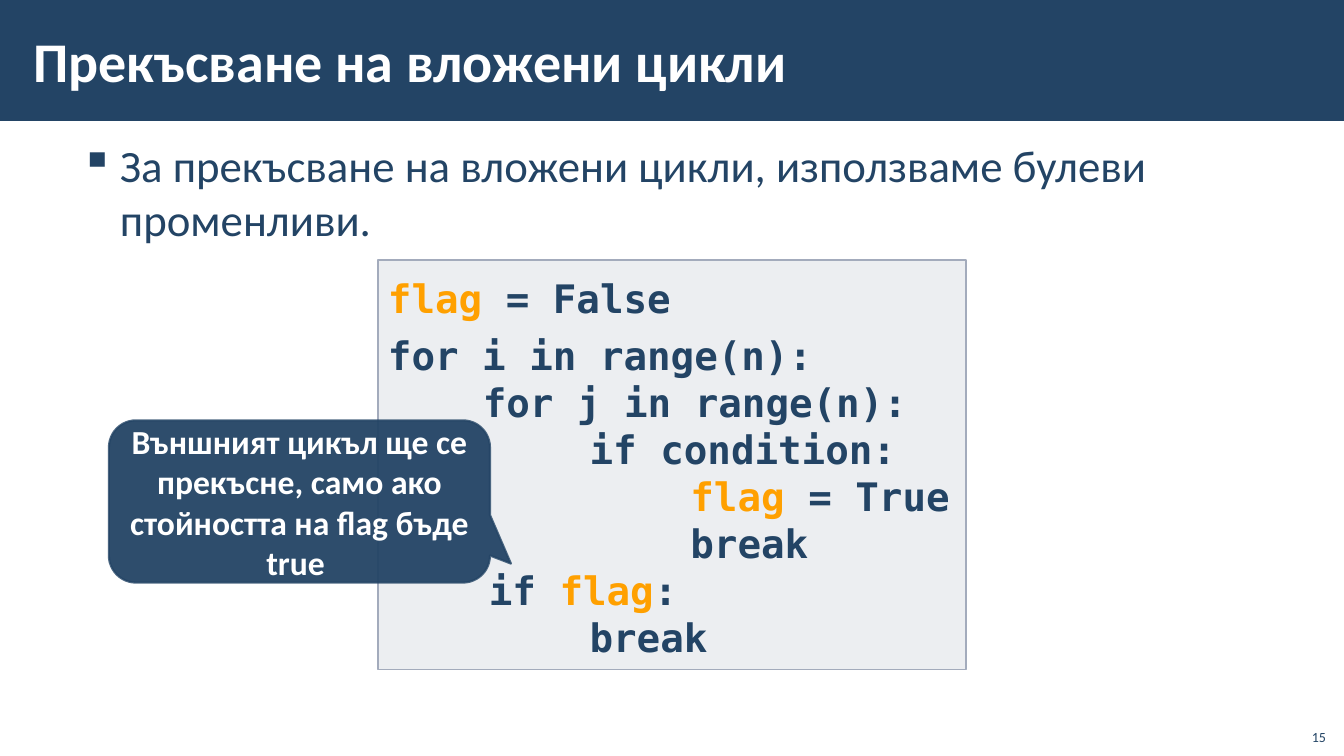
from dataclasses import dataclass

from lxml import etree
from pptx import Presentation
from pptx.dml.color import RGBColor
from pptx.enum.shapes import MSO_SHAPE
from pptx.enum.text import MSO_ANCHOR, MSO_AUTO_SIZE, PP_ALIGN
from pptx.oxml.ns import qn
from pptx.util import Pt

TITLE = "Прекъсване на вложени цикли"
BODY = ("За прекъсване на вложени цикли, използваме булеви ", "променливи.")
CALLOUT = "Външният цикъл ще се прекъсне, само ако стойността на flag бъде true "
PAGE_NUMBER = "15"
VARIABLE = "flag"
# indent in px, line spacing, text pieces
CODE = [
    (0, 1.2, [VARIABLE, " = False"]),
    (0, 1.2, ["for i in range(n):"]),
    (94, 1.0, ["for j in range(n):"]),
    (200, 1.0, ["if condition:"]),
    (300, 1.0, [VARIABLE, " = True"]),
    (300, 1.0, ["break"]),
    (100, 1.0, ["if ", VARIABLE, ":"]),
    (200, 1.0, ["break"]),
]

# left, top, width, height in px, 100 px to the inch
SLIDE_SIZE = (1333, 750)
BAND_BOX = (0, 0, 1334, 120)
BODY_BOX = (68, 133, 1198, 124)
TITLE_BOX = (21, 11, 1063, 97)
CODE_BOX = (375, 258, 583, 406)
CALLOUT_BOX = (108, 417, 378, 161)
NUMBER_BOX = (1285, 712, 40, 32)
BULLET_INDENT = 39
PLAIN_INSETS = (10, 5)
PLACEHOLDER_INSETS = (12, 4)
CALLOUT_POINT = (0.555, 0.383, 0.167)


@dataclass(frozen=True)
class Theme:
    navy: str = "234465"
    white: str = "FFFFFF"
    orange: str = "FFA000"
    grey: str = "A3ABBC"
    font: str = "Calibri"
    code_font: str = "DejaVu Sans Mono"
    title_size: int = 40
    body_size: int = 32
    code_size: int = 28
    callout_size: int = 24
    number_size: int = 10


THEME = Theme()


def px(length):
    return length * 9144


def set_color(color_format, color, opacity=100):
    color_format.rgb = RGBColor.from_string(color)
    if opacity < 100:
        element = color_format._xFill.find(qn("a:srgbClr"))
        etree.SubElement(element, qn("a:alpha"), val=str(opacity * 1000))


def add_box(slide, preset, box, fill, opacity=100, line_width=0, line_opacity=100):
    shape = slide.shapes.add_shape(preset, *map(px, box))
    shape.shadow.inherit = False
    shape.fill.solid()
    set_color(shape.fill.fore_color, fill, opacity)
    if line_width:
        shape.line.fill.solid()
        set_color(shape.line.fill.fore_color, fill, line_opacity)
        shape.line.width = Pt(line_width)
    else:
        shape.line.fill.background()
    return shape


def add_text_box(slide, box):
    return slide.shapes.add_textbox(*map(px, box))


def prepare_text(shape, anchor, alignment, insets=PLAIN_INSETS):
    """Set up the text frame and return its first paragraph."""
    frame = shape.text_frame
    frame.word_wrap = True
    frame.vertical_anchor = anchor
    frame.margin_left = frame.margin_right = px(insets[0])
    frame.margin_top = frame.margin_bottom = px(insets[1])
    paragraph = frame.paragraphs[0]
    paragraph.alignment = alignment
    return paragraph


def add_run(paragraph, text, size, color, bold=False, font=THEME.font):
    run = paragraph.add_run()
    run.text = text
    run.font.name = font
    run.font.size = Pt(size)
    run.font.bold = bold
    set_color(run.font.color, color)


def set_indent(paragraph, left, first=0):
    properties = paragraph._p.get_or_add_pPr()
    properties.set("marL", str(px(left)))
    properties.set("indent", str(px(first)))
    return properties


def add_body(slide):
    shape = add_text_box(slide, BODY_BOX)
    paragraph = prepare_text(shape, MSO_ANCHOR.TOP, PP_ALIGN.LEFT, PLACEHOLDER_INSETS)
    paragraph.space_before = paragraph.space_after = Pt(6)
    properties = set_indent(paragraph, BULLET_INDENT, -BULLET_INDENT)
    etree.SubElement(properties, qn("a:buChar"), char="▪")
    for index, line in enumerate(BODY):
        if index:
            paragraph.add_line_break()
        add_run(paragraph, line, THEME.body_size, THEME.navy)


def add_code(slide):
    shape = add_box(slide, MSO_SHAPE.RECTANGLE, CODE_BOX, THEME.grey, 20, 1)
    paragraph = prepare_text(shape, MSO_ANCHOR.TOP, PP_ALIGN.LEFT)
    shape.text_frame.auto_size = MSO_AUTO_SIZE.SHAPE_TO_FIT_TEXT
    for index, (indent, spacing, pieces) in enumerate(CODE):
        if index:
            paragraph = shape.text_frame.add_paragraph()
            paragraph.alignment = PP_ALIGN.LEFT
        paragraph.line_spacing = spacing
        set_indent(paragraph, indent)
        for piece in pieces:
            color = THEME.orange if piece == VARIABLE else THEME.navy
            add_run(paragraph, piece, THEME.code_size, color, True, THEME.code_font)


def add_callout(slide):
    shape = add_box(slide, MSO_SHAPE.ROUNDED_RECTANGULAR_CALLOUT, CALLOUT_BOX,
                    THEME.navy, 95, 1.5, 80)
    for index, value in enumerate(CALLOUT_POINT):
        shape.adjustments[index] = value
    paragraph = prepare_text(shape, MSO_ANCHOR.MIDDLE, PP_ALIGN.CENTER)
    add_run(paragraph, CALLOUT, THEME.callout_size, THEME.white, True)


def main():
    presentation = Presentation()
    presentation.slide_width, presentation.slide_height = map(px, SLIDE_SIZE)
    slide = presentation.slides.add_slide(presentation.slide_layouts[6])

    add_box(slide, MSO_SHAPE.RECTANGLE, BAND_BOX, THEME.navy)
    add_body(slide)
    title = prepare_text(add_text_box(slide, TITLE_BOX), MSO_ANCHOR.MIDDLE,
                         PP_ALIGN.LEFT, PLACEHOLDER_INSETS)
    add_run(title, TITLE, THEME.title_size, THEME.white, True)
    add_code(slide)
    add_callout(slide)
    number = prepare_text(add_text_box(slide, NUMBER_BOX), MSO_ANCHOR.BOTTOM, PP_ALIGN.RIGHT)
    add_run(number, PAGE_NUMBER, THEME.number_size, THEME.navy)

    presentation.save("out.pptx")


if __name__ == "__main__":
    main()
